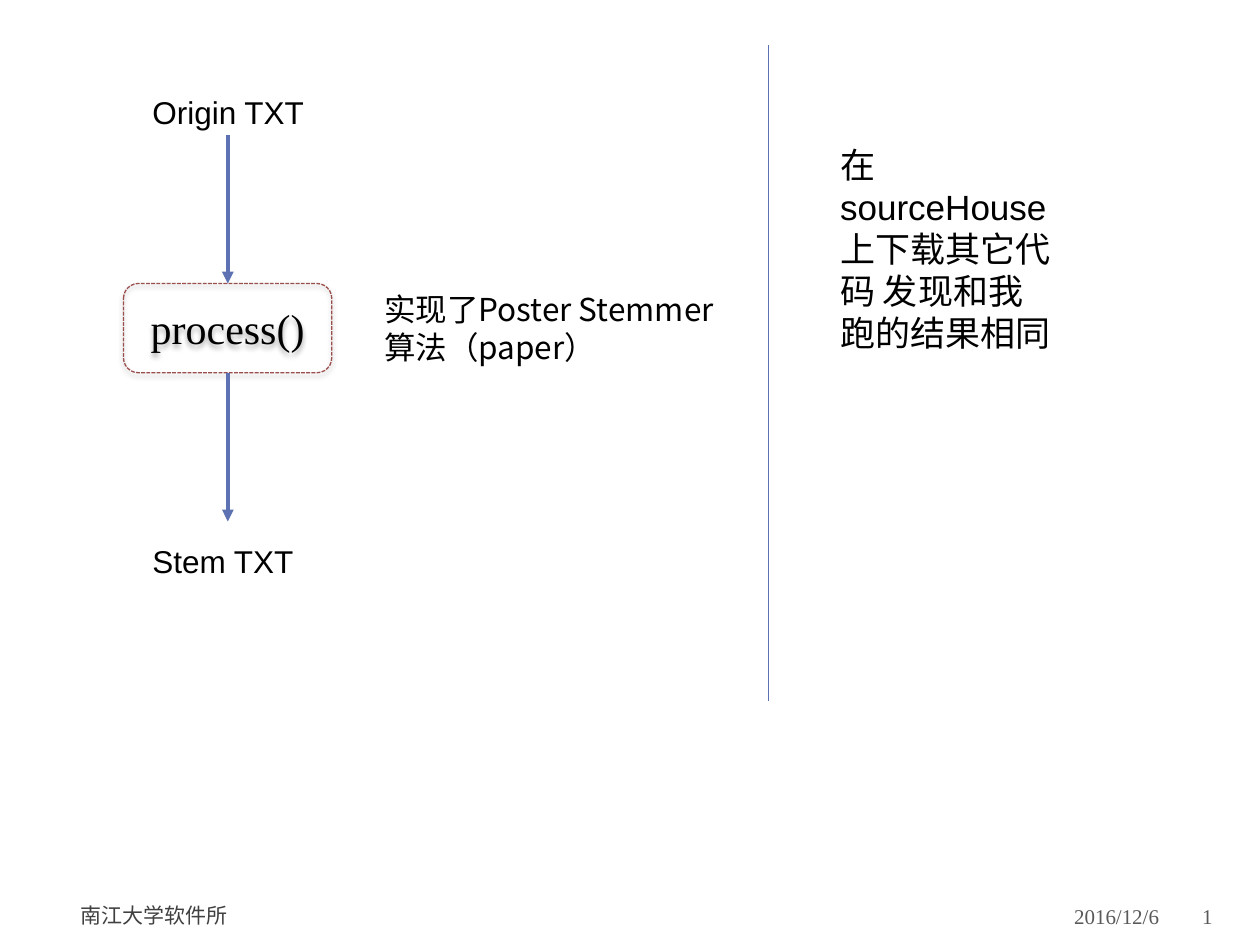
"""Build a slide showing the stemming process beside a note on its check."""
from lxml import etree
from pptx import Presentation
from pptx.dml.color import RGBColor
from pptx.enum import dml, shapes, text
from pptx.oxml import ns
from pptx.util import Pt

SANS, SERIF, CHINESE = "Arial", "Times New Roman", "Noto Sans CJK SC"
LEFT, CENTER, RIGHT = text.PP_ALIGN.LEFT, text.PP_ALIGN.CENTER, text.PP_ALIGN.RIGHT
TOP, MIDDLE = text.MSO_ANCHOR.TOP, text.MSO_ANCHOR.MIDDLE
BLUE = "5C72B2"


def add_xml(parent, tag, **attributes):
    return etree.SubElement(parent, ns.qn(tag), attributes)


def write(box, words, size, font, color="000000", align=LEFT, anchor=TOP, sides=(7.2, 7.2)):
    frame = box.text_frame
    frame.word_wrap = True
    frame.vertical_anchor = anchor
    frame.margin_left, frame.margin_right = map(Pt, sides)
    para = frame.paragraphs[0]
    para.text = words
    para.alignment = align
    para.font.size = Pt(size)
    para.font.color.rgb = RGBColor.from_string(color)
    para.font.name = font
    add_xml(para._p.pPr.find(ns.qn("a:defRPr")), "a:ea", typeface=CHINESE)


deck = Presentation()
deck.slide_width, deck.slide_height = Pt(720), Pt(540)
page = deck.slides.add_slide(deck.slide_layouts[6])

labels = [
    ((80, 49.7, 111, 29), "Origin TXT", 18, SANS),
    ((80, 306, 111, 29), "Stem TXT", 18, SANS),
    ((212.4, 162, 215.3, 51), "实现了Poster Stemmer算法（paper）", 18, CHINESE),
    ((473, 78.5, 136, 128), "在sourceHouse上下载其它代码 发现和我跑的结果相同", 20, SANS),
]
for place, words, size, font in labels:
    write(page.shapes.add_textbox(*map(Pt, place)), words, size, font)

footers = [
    ((42.5, 508.3, 320.4, 28.8), "南江大学软件所", CHINESE, "404040", LEFT, (3.6, 7.2)),
    ((501.8, 509, 164.2, 28.8), "2016/12/6", SERIF, "595959", RIGHT, (7.2, 3.6)),
    ((684.7, 509, 32.4, 28.8), "1", SERIF, "595959", LEFT, (2.2, 3.6)),
]
for place, words, font, color, align, sides in footers:
    box = page.shapes.add_textbox(*map(Pt, place))
    write(box, words, 12, font, color, align, MIDDLE, sides)

process = page.shapes.add_shape(
    shapes.MSO_SHAPE.ROUNDED_RECTANGLE, Pt(70.6), Pt(162), Pt(119), Pt(51))
process.fill.background()
process.line.color.rgb = RGBColor.from_string("9A4E4E")
process.line.width = Pt(0.75)
process.line.dash_style = dml.MSO_LINE.SQUARE_DOT
process.shadow.inherit = False
effects = process._element.spPr.find(ns.qn("a:effectLst"))
shadow = add_xml(effects, "a:outerShdw", blurRad=str(Pt(3.1)), dist=str(Pt(1.8)),
                 dir="5400000", rotWithShape="0")
shade = add_xml(shadow, "a:srgbClr", val="000000")
add_xml(shade, "a:alpha", val="35000")
write(process, "process()", 24, SERIF, align=CENTER, anchor=MIDDLE)

lines = [(130.2, 77, 162, 2.25, True), (130.2, 213, 298, 2.25, True), (439.2, 26, 400.4, 0.75, False)]
for x, start, end, width, arrow in lines:
    line = page.shapes.add_connector(
        shapes.MSO_CONNECTOR.STRAIGHT, Pt(x), Pt(start), Pt(x), Pt(end))
    line.line.color.rgb = RGBColor.from_string(BLUE)
    line.line.width = Pt(width)
    if arrow:
        add_xml(line.line._get_or_add_ln(), "a:tailEnd", type="triangle")
    add_xml(line._element.spPr, "a:effectLst")

deck.save("out.pptx")
